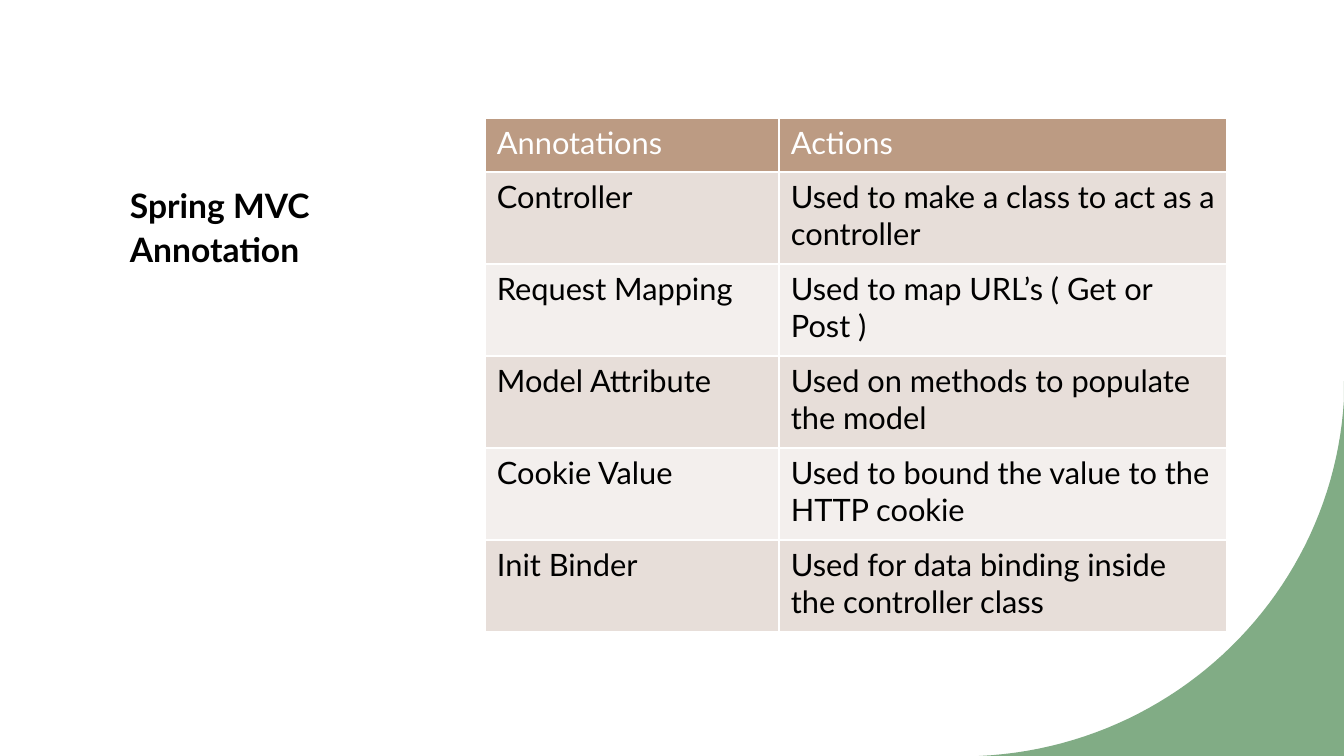
"""Build a slide with a table of Spring MVC annotations and a green corner."""
from dataclasses import dataclass

from lxml.etree import SubElement
from pptx import Presentation
from pptx.dml.color import RGBColor
from pptx.enum.shapes import MSO_SHAPE as Shape
from pptx.enum.text import MSO_ANCHOR as Anchor
from pptx.oxml.ns import qn
from pptx.util import Emu, Pt

SLIDE_W, SLIDE_H = 1344, 756
SCALE = 12192000 / SLIDE_W
FONT = "Lato"
COLORS = {"white": "FFFFFF", "black": "000000", "green": "81AC85",
          "header": "BC9B83", "dark": "E7DED9", "light": "F3EFED"}
COL_WIDTHS = (294, 448)
HEADER_H, ROW_H = 54, 92
CURVE = ((979, 756), (1176, 747), (1333, 592), (1344, 399))
CURVE_STEPS = 48


@dataclass
class Row:
    annotation: str
    action: str
    fill: str
    color: str = "black"
    height: int = ROW_H


ROWS = [
    Row("Annotations", "Actions", "header", "white", HEADER_H),
    Row("Controller", "Used to make a class to act as a controller", "dark"),
    Row("Request Mapping", "Used to map URL’s ( Get or Post )", "light"),
    Row("Model Attribute", "Used on methods to populate the model", "dark"),
    Row("Cookie Value", "Used to bound the value to the HTTP cookie", "light"),
    Row("Init Binder", "Used for data binding inside the controller class", "dark"),
]


def px(n: float) -> Emu:
    return Emu(round(n * SCALE))


def rgb(name: str) -> RGBColor:
    return RGBColor.from_string(COLORS[name])


def paint(sp, color: str) -> None:
    sp.shadow.inherit = False
    sp.fill.solid()
    sp.fill.fore_color.rgb = rgb(color)
    sp.line.fill.background()


def set_text(tf, text: str, size: int, color: str, bold: bool = False):
    tf.word_wrap = True
    p = tf.paragraphs[0]
    p.text = text
    font = p.font
    font.name, font.size, font.bold = FONT, Pt(size), bold
    font.color.rgb = rgb(color)
    return p


def add_title(s) -> None:
    tf = s.shapes.add_textbox(px(120), px(176), px(290), px(349)).text_frame
    tf.vertical_anchor = Anchor.TOP
    p = set_text(tf, "Spring MVC Annotation", 24, "black", bold=True)
    p.line_spacing = 1.1


def curve_point(t: float) -> tuple[int, int]:
    weights = ((1 - t) ** 3, 3 * t * (1 - t) ** 2, 3 * t * t * (1 - t), t ** 3)
    x, y = (sum(w * c for w, c in zip(weights, axis)) for axis in zip(*CURVE))
    return px(x), px(y)


def add_corner(s) -> None:
    fb = s.shapes.build_freeform(px(SLIDE_W), px(381))
    points = [(px(SLIDE_W), px(SLIDE_H)), (px(971), px(SLIDE_H))]
    points += [curve_point(i / CURVE_STEPS) for i in range(CURVE_STEPS + 1)]
    fb.add_line_segments(points, close=True)
    paint(fb.convert_to_shape(), "green")


def add_borders(cell) -> None:
    tc_pr = cell._tc.get_or_add_tcPr()
    for i, side in enumerate(("lnL", "lnR", "lnT", "lnB")):
        ln = SubElement(tc_pr, qn(f"a:{side}"), w=str(Pt(1)))
        fill = SubElement(ln, qn("a:solidFill"))
        SubElement(fill, qn("a:srgbClr"), val=COLORS["white"])
        tc_pr.insert(i, ln)


def add_annotation_table(s) -> None:
    height = sum(row.height for row in ROWS)
    table = s.shapes.add_table(len(ROWS), len(COL_WIDTHS), px(485), px(118),
                               px(sum(COL_WIDTHS)), px(height)).table
    table.first_row = table.horz_banding = False
    for col, width in zip(table.columns, COL_WIDTHS):
        col.width = px(width)
    for row, tr in zip(ROWS, table.rows):
        tr.height = px(row.height)
        for cell, text in zip(tr.cells, (row.annotation, row.action)):
            cell.margin_left = cell.margin_right = px(12)
            cell.margin_top = cell.margin_bottom = px(6)
            cell.fill.solid()
            cell.fill.fore_color.rgb = rgb(row.fill)
            add_borders(cell)
            set_text(cell.text_frame, text, 22, row.color)


def main() -> None:
    prs = Presentation()
    prs.slide_width, prs.slide_height = px(SLIDE_W), px(SLIDE_H)
    s = prs.slides.add_slide(prs.slide_layouts[6])
    backdrop = s.shapes.add_shape(Shape.RECTANGLE, 0, 0, px(SLIDE_W), px(SLIDE_H))
    paint(backdrop, "white")
    add_title(s)
    add_corner(s)
    add_annotation_table(s)
    prs.save("out.pptx")


if __name__ == "__main__":
    main()
